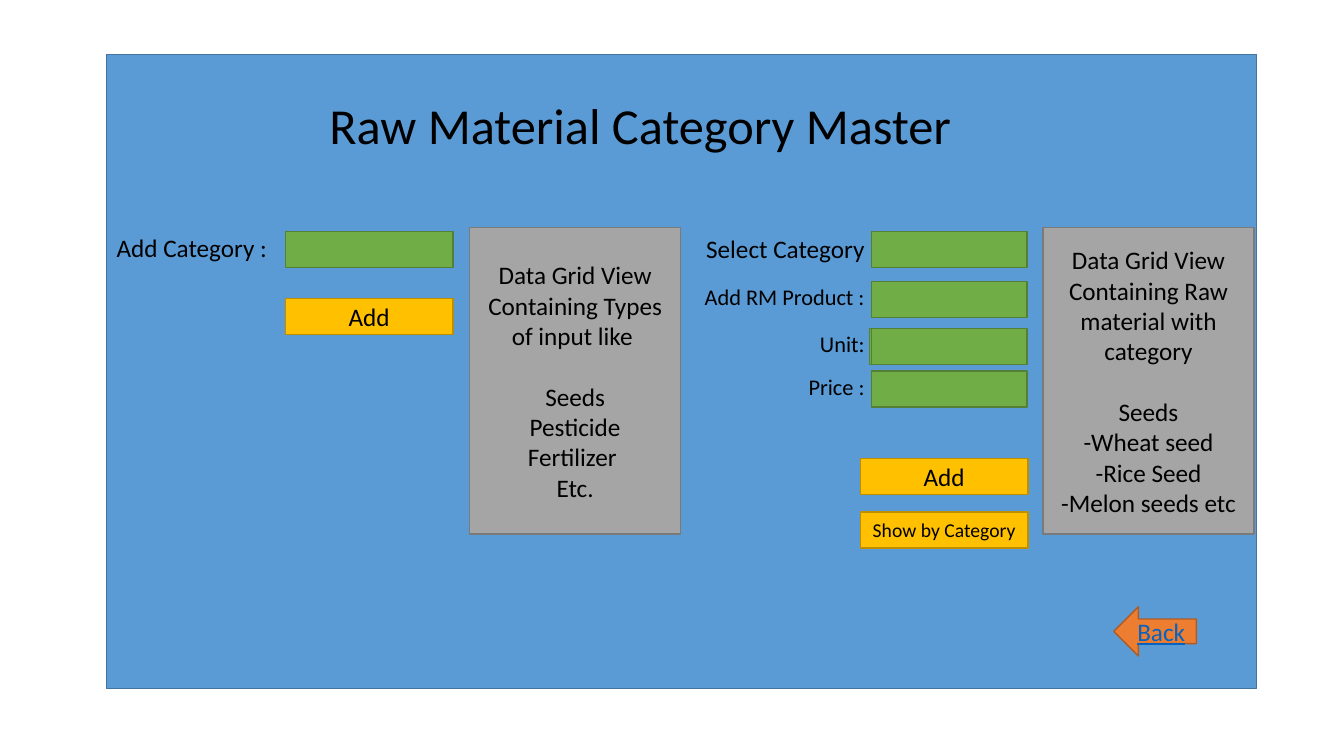
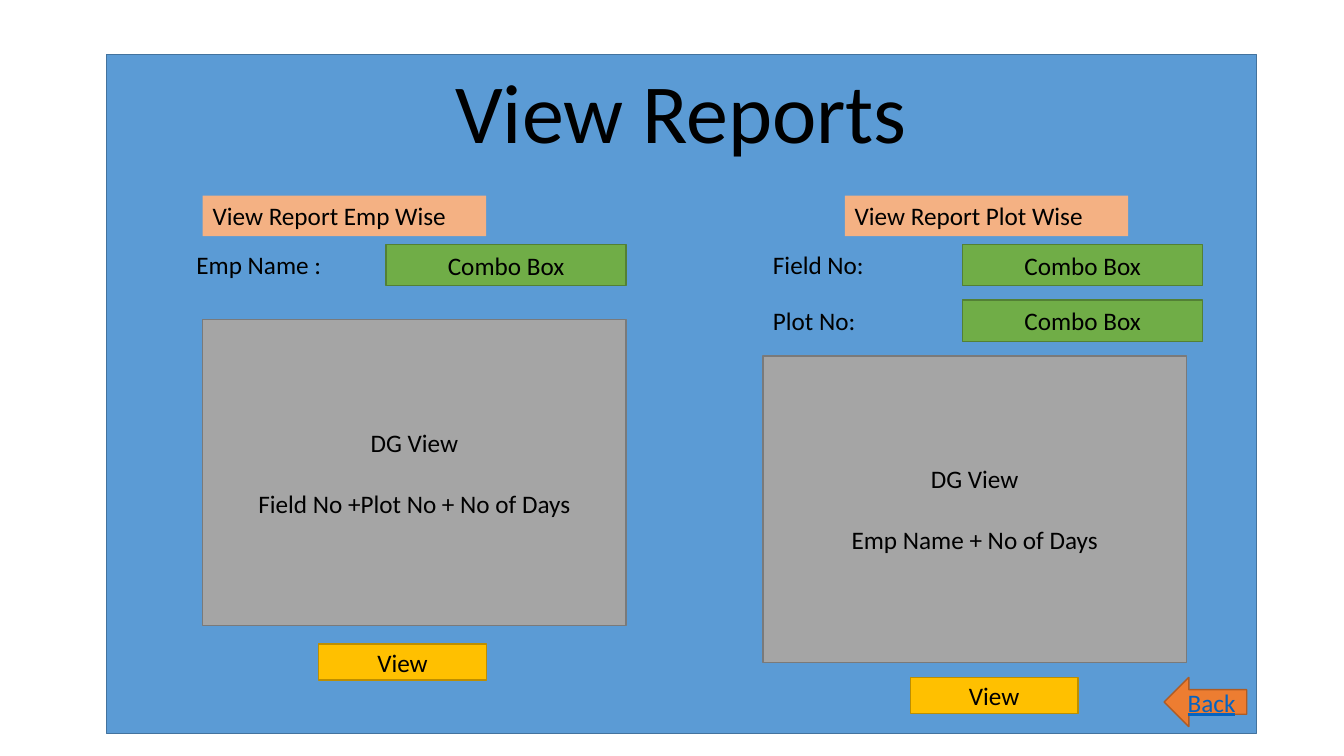
from dataclasses import dataclass

from pptx import Presentation
from pptx import util as u
from pptx.dml import color
from pptx.enum import shapes, text


@dataclass(frozen=True)
class Theme:
    font: str = "Calibri"
    ink: str = "000000"
    link: str = "0563C1"
    panel: tuple = ("5B9BD5", "43739E")
    grid: tuple = ("A5A5A5", "7A7A7A")
    field: tuple = ("70AD47", "538035")
    button: tuple = ("FFC000", "BD8E00")
    arrow: tuple = ("ED7D31", "AF5C24")
    heading: tuple = ("F4B183", None)
    line: float = 1
    body: int = 18
    small: int = 16
    tiny: int = 14
    title: int = 36
    big_title: int = 60
    gap: int = 22


T = Theme()
LEFT, CENTER, RIGHT = text.PP_ALIGN.LEFT, text.PP_ALIGN.CENTER, text.PP_ALIGN.RIGHT
PANEL_X, PANEL_Y, PANEL_W = 2.69, 1.37, 28.98
CONTROL_H = 0.91
GRID_H = 7.72


def rgb(value):
    return color.RGBColor.from_string(value)


def write(sp, groups, size, align, ink=T.ink, underline=None):
    tf = sp.text_frame
    tf.word_wrap = True
    first = True
    for group in groups:
        for i, line in enumerate(group):
            p = tf.paragraphs[0] if first else tf.add_paragraph()
            p.alignment = align
            if i == 0 and not first:
                p.space_before = u.Pt(T.gap)
            first = False
            r = p.add_run()
            r.text = line
            r.font.name = T.font
            r.font.size = u.Pt(size)
            r.font.underline = underline
            r.font.color.rgb = rgb(ink)


def label(s, x, y, w, h, words, size=T.body, align=LEFT):
    sp = s.shapes.add_textbox(u.Cm(x), u.Cm(y), u.Cm(w), u.Cm(h))
    write(sp, [[words]], size, align)


def block(s, x, y, w, h, style, groups=(), size=T.body, align=CENTER,
          kind=shapes.MSO_SHAPE.RECTANGLE, **look):
    sp = s.shapes.add_shape(kind, u.Cm(x), u.Cm(y), u.Cm(w), u.Cm(h))
    sp.shadow.inherit = False
    fill, line = style
    sp.fill.solid()
    sp.fill.fore_color.rgb = rgb(fill)
    if line:
        sp.line.color.rgb = rgb(line)
        sp.line.width = u.Pt(T.line)
    else:
        sp.line.fill.background()
    sp.text_frame.vertical_anchor = text.MSO_ANCHOR.MIDDLE
    write(sp, groups, size, align, **look)


def button(s, x, y, words, size=T.body):
    block(s, x, y, 4.23, CONTROL_H, T.button, [[words]], size)


def back_arrow(s, x, y):
    block(s, x, y, 2.08, 1.24, T.arrow, [["Back"]],
          kind=shapes.MSO_SHAPE.LEFT_ARROW, ink=T.link, underline=True)


def category_region(s, x, y):
    block(s, x + 9.15, y, 5.31, GRID_H, T.grid, [
        ["Data Grid View Containing Types of input like "],
        ["Seeds", "Pesticide", "Fertilizer ", "Etc."]])
    label(s, x, y, 4.83, 1.02, "Add Category :")
    block(s, x + 4.5, y + 0.1, 4.23, CONTROL_H, T.field)
    button(s, x + 4.5, y + 1.78, "Add")


def product_region(s, x, y):
    block(s, x + 8.74, y, 5.31, GRID_H, T.grid, [
        ["Data Grid View Containing Raw material with category"],
        ["Seeds", "-Wheat seed", "-Rice Seed", "-Melon seeds etc"]])
    rows = [("Select Category", 0.1, T.body, (0,)),
            ("Add RM Product :", 1.35, T.small, (0,)),
            ("Unit:", 2.54, T.small, (-0.05, 0)),
            ("Price :", 3.61, T.small, (0,))]
    for words, top, size, shifts in rows:
        label(s, x - 0.3, y + top - 0.08, 4.79, 0.94, words, size, RIGHT)
        for shift in shifts:
            block(s, x + 4.42 + shift, y + top, 3.91, CONTROL_H, T.field)
    button(s, x + 4.13, y + 5.82, "Add")
    button(s, x + 4.13, y + 7.16, "Show by Category", T.tiny)


def report_region(s, x, y, heading, heading_dx, filters, grid_lines,
                  grid_dx, grid_dy, button_dx, button_gap):
    block(s, x + heading_dx, y, 7.14, 1.02, T.heading, [[heading]], align=LEFT)
    for i, words in enumerate(filters):
        top = y + 1.23 + 1.4 * i
        label(s, x, top, 4.55, 1.02, words)
        block(s, x + 5.03, top, 6.05, 1.04, T.field, [["Combo Box"]])
    block(s, x + grid_dx, y + grid_dy, 10.67, GRID_H, T.grid,
          [[line] for line in grid_lines])
    button(s, x + button_dx, y + grid_dy + GRID_H + button_gap, "View")


def panel_slide(prs, height):
    s = prs.slides.add_slide(prs.slide_layouts[6])
    block(s, PANEL_X, PANEL_Y, PANEL_W, height, T.panel)
    return s


def category_slide(prs):
    s = panel_slide(prs, 15.98)
    label(s, PANEL_X + 5.36, PANEL_Y + 0.87, 16.54, 1.8,
          "Raw Material Category Master", T.title)
    category_region(s, PANEL_X, PANEL_Y + 4.37)
    product_region(s, PANEL_X + 14.86, PANEL_Y + 4.37)
    back_arrow(s, PANEL_X + 25.38, PANEL_Y + 13.92)


def reports_slide(prs):
    s = panel_slide(prs, 17.12)
    label(s, PANEL_X + 6.78, PANEL_Y, 15.39, 2.82, "View Reports", T.big_title, CENTER)
    top = PANEL_Y + 3.56
    report_region(s, PANEL_X + 2.01, top, "View Report Emp Wise", 0.41, ["Emp Name :"],
                  ["DG View", "Field No +Plot No + No of Days"], 0.41, 3.12, 3.33, 0.46)
    report_region(s, PANEL_X + 16.54, top, "View Report Plot Wise", 2.06,
                  ["Field No:", "Plot No:"],
                  ["DG View", "Emp Name + No of Days"], 0, 4.04, 3.71, 0.38)
    back_arrow(s, PANEL_X + 26.65, PANEL_Y + 15.7)


def main():
    prs = Presentation()
    prs.slide_width, prs.slide_height = u.Cm(33.87), u.Cm(19.05)
    category_slide(prs)
    reports_slide(prs)
    prs.save("out.pptx")


if __name__ == "__main__":
    main()
